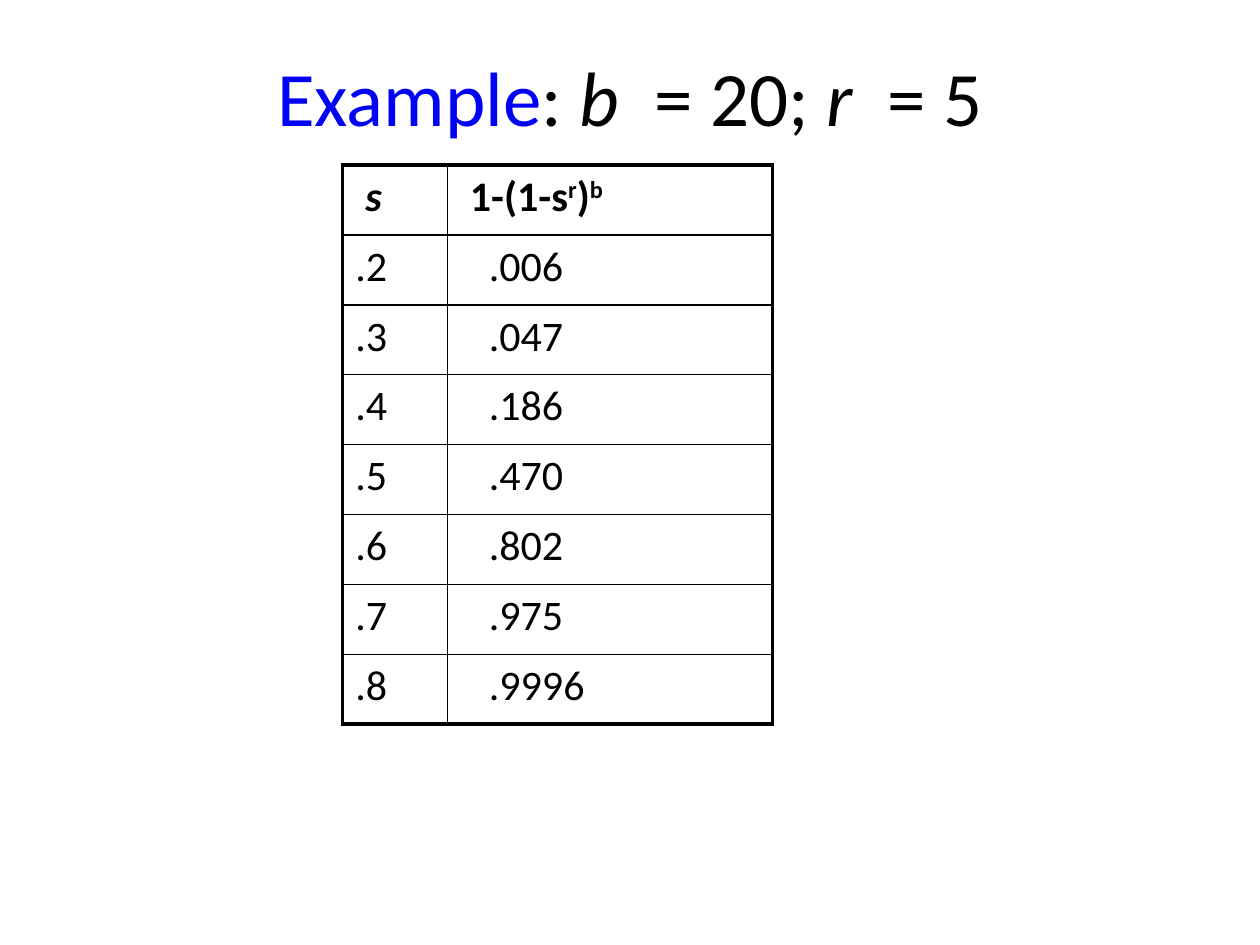
from dataclasses import dataclass

from lxml.etree import SubElement
from pptx import Presentation
from pptx.dml.color import RGBColor
from pptx.enum.text import MSO_ANCHOR, PP_ALIGN
from pptx.oxml.ns import qn
from pptx.util import Inches, Pt


@dataclass(frozen=True)
class Theme:
    font: str = "Calibri"
    ink: str = "000000"
    accent: str = "0101F4"
    title_size: float = 44
    table_size: float = 24
    outer_line: float = 2.25
    inner_line: float = 1


@dataclass(frozen=True)
class Span:
    text: str
    color: str = "000000"
    bold: bool = False
    italic: bool = False
    baseline: int = 0
    tracking: float = 0


@dataclass(frozen=True)
class Entry:
    spans: tuple[Span, ...]
    indent: float = 0


THEME = Theme()
COLUMN_WIDTHS = (0.83, 2.58)
ROW_HEIGHT = 0.555
CELL_MARGIN = 0.1
HEADING = (
    Span("Example", color=THEME.accent),
    Span(": "),
    Span("b", italic=True, tracking=10),
    Span(" = 20; "),
    Span("r", italic=True, tracking=10),
    Span(" = 5"),
)
HEADER = (
    Entry((Span("s", bold=True, italic=True),), 0.08),
    Entry(
        (
            Span("1-(1-s", bold=True),
            Span("r", bold=True, baseline=30),
            Span(")", bold=True),
            Span("b", bold=True, baseline=30),
        ),
        0.08,
    ),
)
PROBABILITIES = {
    ".2": ".006",
    ".3": ".047",
    ".4": ".186",
    ".5": ".470",
    ".6": ".802",
    ".7": ".975",
    ".8": ".9996",
}


def add_spans(paragraph, spans: tuple[Span, ...], size: float) -> None:
    for span in spans:
        run = paragraph.add_run()
        run.text = span.text
        font = run.font
        font.name = THEME.font
        font.size = Pt(size)
        font.bold = span.bold
        font.italic = span.italic
        font.color.rgb = RGBColor.from_string(span.color)
        properties = run._r.get_or_add_rPr()
        if span.baseline:
            properties.set("baseline", str(span.baseline * 1000))
        if span.tracking:
            properties.set("spc", str(int(span.tracking * 100)))


def add_border(cell, side: str, width: float) -> None:
    line = SubElement(cell._tc.get_or_add_tcPr(), qn(f"a:ln{side}"), w=str(Pt(width)))
    fill = SubElement(line, qn("a:solidFill"))
    SubElement(fill, qn("a:srgbClr"), val=THEME.ink)


def fill_cell(cell, entry: Entry, outer_sides: dict[str, bool]) -> None:
    cell.margin_left = Inches(CELL_MARGIN + entry.indent)
    cell.vertical_anchor = MSO_ANCHOR.TOP
    for side, is_outer in outer_sides.items():
        add_border(cell, side, THEME.outer_line if is_outer else THEME.inner_line)
    cell.fill.background()
    paragraph = cell.text_frame.paragraphs[0]
    spacing = SubElement(paragraph._p.get_or_add_pPr(), qn("a:spcBef"))
    SubElement(spacing, qn("a:spcPct"), val="20000")
    add_spans(paragraph, entry.spans, THEME.table_size)


def add_heading(slide) -> None:
    heading = slide.shapes.title
    heading.left, heading.top = Inches(0.5), Inches(0.3)
    heading.width, heading.height = Inches(9), Inches(1.25)
    frame = heading.text_frame
    frame.vertical_anchor = MSO_ANCHOR.TOP
    frame.margin_top = Inches(0.09)
    paragraph = frame.paragraphs[0]
    paragraph.alignment = PP_ALIGN.CENTER
    add_spans(paragraph, HEADING, THEME.title_size)


def add_probability_table(slide) -> None:
    entries = [HEADER] + [
        (Entry((Span(similarity),)), Entry((Span(probability),), 0.23))
        for similarity, probability in PROBABILITIES.items()
    ]
    last_row, last_column = len(entries) - 1, len(COLUMN_WIDTHS) - 1
    table = slide.shapes.add_table(
        len(entries),
        len(COLUMN_WIDTHS),
        Inches(2.72),
        Inches(1.31),
        Inches(sum(COLUMN_WIDTHS)),
        Inches(ROW_HEIGHT * len(entries)),
    ).table
    table.first_row = False
    table.horz_banding = False
    for column, width in zip(table.columns, COLUMN_WIDTHS):
        column.width = Inches(width)
    for row_index, row_entries in enumerate(entries):
        table.rows[row_index].height = Inches(ROW_HEIGHT)
        for column_index, entry in enumerate(row_entries):
            outer_sides = {
                "L": column_index == 0,
                "R": column_index == last_column,
                "T": row_index == 0,
                "B": row_index == last_row,
            }
            fill_cell(table.cell(row_index, column_index), entry, outer_sides)


def main() -> None:
    presentation = Presentation()
    presentation.slide_width = Inches(10)
    presentation.slide_height = Inches(7.5)
    slide = presentation.slides.add_slide(presentation.slide_layouts[5])
    add_heading(slide)
    add_probability_table(slide)
    presentation.save("out.pptx")


if __name__ == "__main__":
    main()
